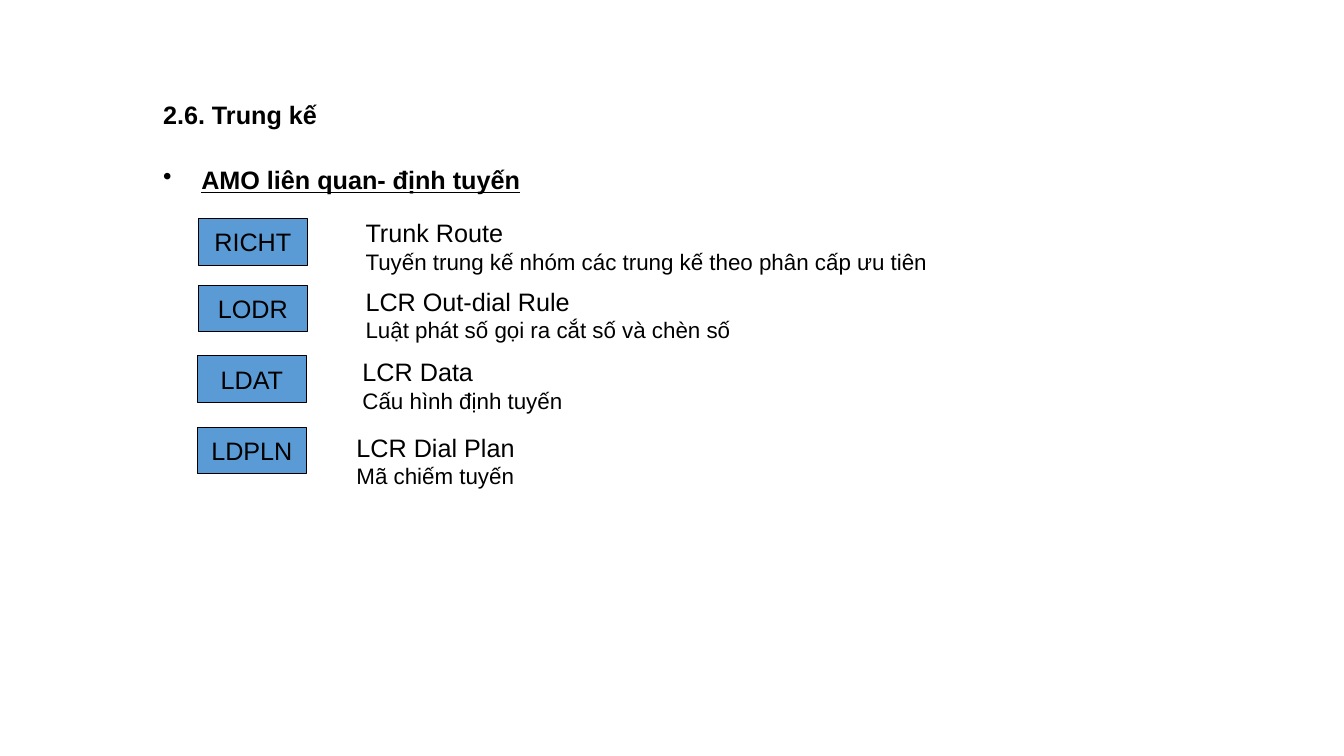
from lxml import etree
from pptx import Presentation
from pptx.dml.color import RGBColor
from pptx.enum import shapes, text
from pptx.oxml import ns
from pptx.util import Inches, Pt

COLORS = {"ink": "000000", "tag": "5B9BD5"}
FONT = "Arial"

# tag, name, meaning, tag left and top, text left and top
ROWS = [
    ("RICHT", "Trunk Route",
     "Tuyến trung kế nhóm các trung kế theo phân cấp ưu tiên",
     (1.97, 2.17), (3.53, 2.11)),
    ("LODR", "LCR Out-dial Rule", "Luật phát số gọi ra cắt số và chèn số",
     (1.97, 2.83), (3.53, 2.79)),
    ("LDAT", "LCR Data", "Cấu hình định tuyến",
     (1.96, 3.53), (3.5, 3.49)),
    ("LDPLN", "LCR Dial Plan", "Mã chiếm tuyến",
     (1.96, 4.24), (3.44, 4.24)),
]


def color(name):
    return RGBColor.from_string(COLORS[name])


def style(para, words, size=18, bold=False):
    para.text = words
    font = para.font
    font.name, font.size, font.bold = FONT, Pt(size), bold
    font.color.rgb = color("ink")


def add_text(slide, box, lines, bold=False):
    """Add a text box; lines holds pairs of words and size."""
    frame = slide.shapes.add_textbox(*map(Inches, box)).text_frame
    frame.word_wrap = True
    for i, (words, size) in enumerate(lines):
        para = frame.add_paragraph() if i else frame.paragraphs[0]
        style(para, words, size, bold)
    return frame


def add_title(slide, box):
    frame = add_text(slide, box, [("2.6. Trung kế", 18)], bold=True)
    frame.vertical_anchor = text.MSO_ANCHOR.MIDDLE
    frame.paragraphs[0].line_spacing = 0.9


def add_topic(slide, box):
    """Add the underlined bullet line."""
    frame = add_text(slide, box, [("AMO liên quan- định tuyến", 18)], bold=True)
    para = frame.paragraphs[0]
    para.font.underline = True
    para.line_spacing = 1.15
    para.space_before = Pt(4.5)
    props = para._p.get_or_add_pPr()
    props.set("marL", str(Inches(0.38)))
    props.set("indent", str(-Inches(0.38)))
    bullet = etree.Element(ns.qn("a:buChar"), char="•")
    props.find(ns.qn("a:defRPr")).addprevious(bullet)


def add_tag(slide, box, words):
    tag = slide.shapes.add_shape(shapes.MSO_SHAPE.RECTANGLE, *map(Inches, box))
    tag.shadow.inherit = False
    tag.fill.solid()
    tag.fill.fore_color.rgb = color("tag")
    tag.line.color.rgb = color("ink")
    tag.line.width = Pt(0.75)
    frame = tag.text_frame
    frame.word_wrap = False
    frame.vertical_anchor = text.MSO_ANCHOR.MIDDLE
    style(frame.paragraphs[0], words)
    frame.paragraphs[0].alignment = text.PP_ALIGN.CENTER


def main():
    deck = Presentation()
    deck.slide_width, deck.slide_height = Inches(13.34), Inches(7.5)
    slide = deck.slides.add_slide(deck.slide_layouts[6])
    add_title(slide, (1.52, 0.76, 10.56, 0.78))
    add_topic(slide, (1.52, 1.54, 10.56, 0.65))
    for tag, name, sense, tag_at, text_at in ROWS:
        add_tag(slide, (*tag_at, 1.08, 0.46), tag)
        add_text(slide, (*text_at, 6.36, 0.67), [(name, 18), (sense, 16)])
    deck.save("out.pptx")


if __name__ == "__main__":
    main()
